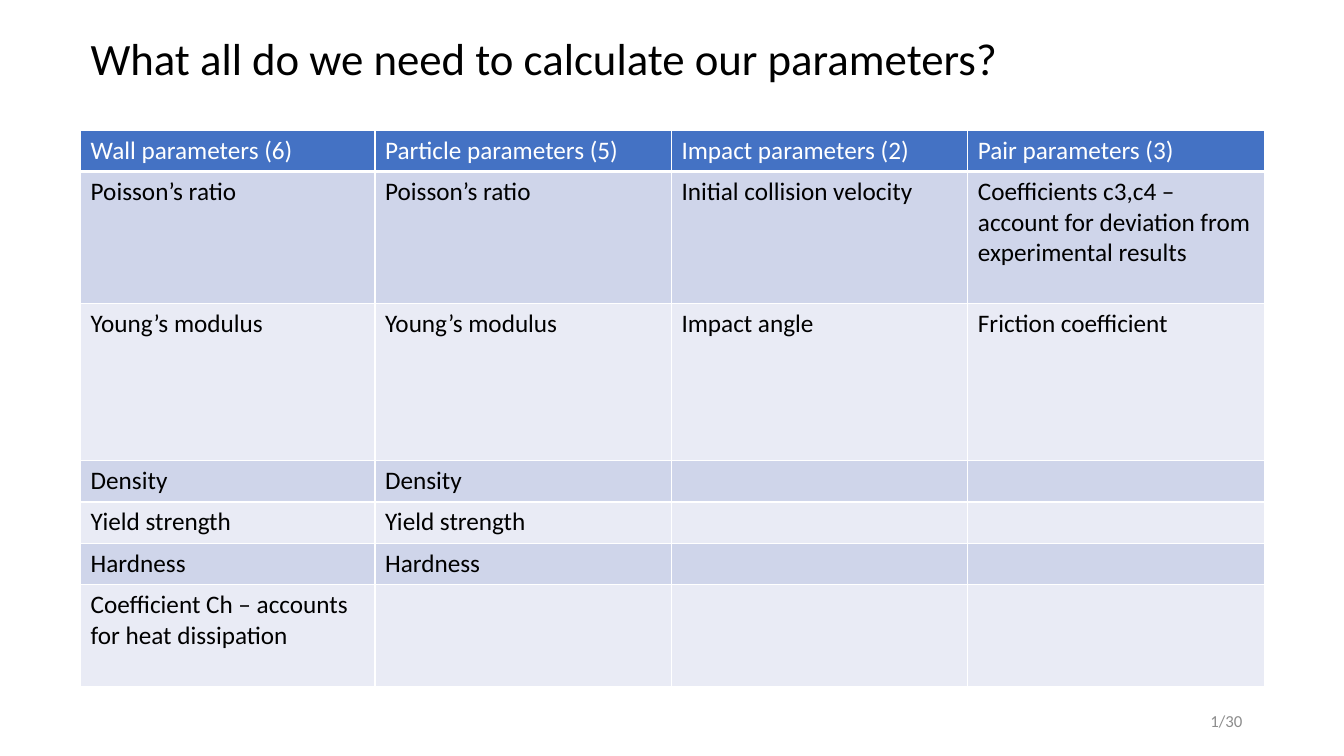
from lxml.etree import SubElement
from pptx import Presentation
from pptx.dml.color import RGBColor
from pptx.enum.text import MSO_ANCHOR, MSO_AUTO_SIZE, PP_ALIGN
from pptx.oxml.ns import qn
from pptx.util import Inches, Pt

FONT = "Calibri"
WHITE, BLACK, GREY = "FFFFFF", "000000", "8C8C8C"
HEADER_FILL = "4472C4"
BAND_FILLS = ("CFD5EA", "E9EBF5")

LEFT, TABLE_TOP = 0.8, 1.29
COLUMN_WIDTHS = [2.92] + [2.94] * 3
LINE_ROW = 0.41
ROW_HEIGHTS = [LINE_ROW, 1.31, 1.56] + [LINE_ROW] * 3 + [1.01]

PARAMETERS = {
    "Wall parameters (6)": [
        "Poisson’s ratio", "Young’s modulus", "Density", "Yield strength",
        "Hardness", "Coefficient Ch – accounts for heat dissipation",
    ],
    "Particle parameters (5)": [
        "Poisson’s ratio", "Young’s modulus", "Density", "Yield strength",
        "Hardness",
    ],
    "Impact parameters (2)": ["Initial collision velocity", "Impact angle"],
    "Pair parameters (3)": [
        "Coefficients c3,c4 – account for deviation from experimental results",
        "Friction coefficient",
    ],
}


def color(hex_code):
    return RGBColor.from_string(hex_code)


def style_text(frame, size, hex_code):
    for para in frame.paragraphs:
        for span in para.runs:
            span.font.name = FONT
            span.font.size = Pt(size)
            span.font.bold = False
            span.font.color.rgb = color(hex_code)


def add_text(page, text, left, top, width, height, size, hex_code):
    box = page.shapes.add_textbox(*map(Inches, (left, top, width, height)))
    frame = box.text_frame
    frame.word_wrap = True
    frame.text = text
    style_text(frame, size, hex_code)
    return frame


def set_borders(cell, bottom_width):
    """Draw white cell borders; the bottom one may be thicker."""
    properties = cell._tc.get_or_add_tcPr()
    widths = {"a:lnL": 1, "a:lnR": 1, "a:lnT": 1, "a:lnB": bottom_width}
    for position, (tag, width) in enumerate(widths.items()):
        line = SubElement(properties, qn(tag), w=str(Pt(width)))
        fill = SubElement(line, qn("a:solidFill"))
        SubElement(fill, qn("a:srgbClr"), val=WHITE)
        properties.insert(position, line)  # borders come before the fill


def fill_cell(cell, text, row):
    is_header = row == 0
    cell.text = text
    style_text(cell.text_frame, 18, WHITE if is_header else BLACK)
    cell.fill.solid()
    fill = HEADER_FILL if is_header else BAND_FILLS[(row - 1) % 2]
    cell.fill.fore_color.rgb = color(fill)
    set_borders(cell, 3 if is_header else 1)


def add_parameter_table(page):
    size = (sum(COLUMN_WIDTHS), sum(ROW_HEIGHTS))
    table = page.shapes.add_table(
        len(ROW_HEIGHTS), len(COLUMN_WIDTHS),
        *map(Inches, (LEFT, TABLE_TOP, *size)),
    ).table
    for column, width in zip(table.columns, COLUMN_WIDTHS):
        column.width = Inches(width)
    for row, height in zip(table.rows, ROW_HEIGHTS):
        row.height = Inches(height)
    for column, (heading, entries) in enumerate(PARAMETERS.items()):
        texts = [heading, *entries]
        for row in range(len(ROW_HEIGHTS)):
            text = texts[row] if row < len(texts) else ""
            fill_cell(table.cell(row, column), text, row)


def main():
    deck = Presentation()
    deck.slide_width, deck.slide_height = Inches(13.33), Inches(7.5)
    page = deck.slides.add_slide(deck.slide_layouts[6])

    add_parameter_table(page)
    title = add_text(page, "What all do we need to calculate our parameters?",
                     LEFT, 0.26, 11.06, 0.64, 32, BLACK)
    title.auto_size = MSO_AUTO_SIZE.SHAPE_TO_FIT_TEXT
    number = add_text(page, "1/30", 9.42, 6.95, 3, 0.4, 12, GREY)
    number.vertical_anchor = MSO_ANCHOR.MIDDLE
    number.paragraphs[0].alignment = PP_ALIGN.RIGHT

    deck.save("out.pptx")


if __name__ == "__main__":
    main()
